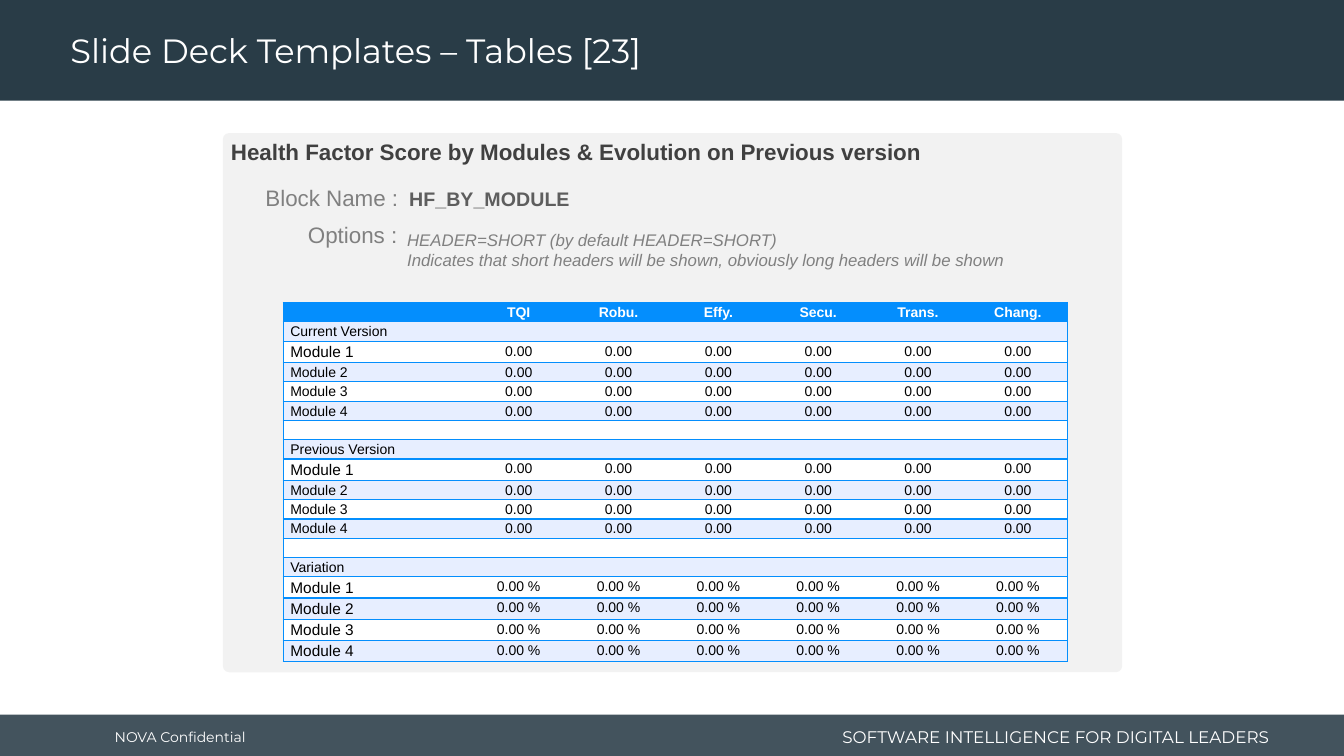
from pptx import Presentation
from pptx.dml.color import RGBColor
from pptx.enum.shapes import MSO_SHAPE
from pptx.enum.text import MSO_ANCHOR, MSO_AUTO_SIZE, PP_ALIGN
from pptx.oxml.ns import qn
from pptx.util import Inches, Pt
from lxml import etree

RECTANGLE, ROUNDED = MSO_SHAPE.RECTANGLE, MSO_SHAPE.ROUNDED_RECTANGLE
TOP, MIDDLE = MSO_ANCHOR.TOP, MSO_ANCHOR.MIDDLE
LEFT, CENTER, RIGHT = PP_ALIGN.LEFT, PP_ALIGN.CENTER, PP_ALIGN.RIGHT
FIT_TEXT, FIXED = MSO_AUTO_SIZE.SHAPE_TO_FIT_TEXT, MSO_AUTO_SIZE.NONE

NAVY = RGBColor(0x29, 0x3C, 0x47)
WHITE = RGBColor(0xFF, 0xFF, 0xFF)
BLACK = RGBColor(0x00, 0x00, 0x00)
PANEL_GRAY = RGBColor(0xF2, 0xF2, 0xF2)
HEADING_GRAY = RGBColor(0x40, 0x40, 0x40)
NAME_GRAY = RGBColor(0x5E, 0x5E, 0x5E)
LABEL_GRAY = RGBColor(0x80, 0x80, 0x80)
BLUE = RGBColor(0x04, 0x8E, 0xFD)
PALE_BLUE = RGBColor(0xE7, 0xEE, 0xFF)

BRAND_FONT, BODY_FONT = "Montserrat", "Arial"
SCORES = ["TQI", "Robu.", "Effy.", "Secu.", "Trans.", "Chang."]


class SlideBuilder:
    """Draws on one slide; every length is a percentage of the slide's size."""

    def __init__(self, presentation):
        self.width = presentation.slide_width
        self.height = presentation.slide_height
        self.slide = presentation.slides.add_slide(presentation.slide_layouts[6])

    def across(self, share):
        return round(self.width * share / 100)

    def down(self, share):
        return round(self.height * share / 100)

    def place(self, left, top, width, height):
        return self.across(left), self.down(top), self.across(width), self.down(height)

    def format(self, paragraph, size, color, font=BODY_FONT, bold=False, italic=False):
        for run in paragraph.runs:
            run.font.name = font
            run.font.size = Pt(size)
            run.font.bold = bold
            run.font.italic = italic
            run.font.color.rgb = color

    def block(self, area, color, preset=RECTANGLE, corner=None, opacity=None):
        shape = self.slide.shapes.add_shape(preset, *self.place(*area))
        shape.shadow.inherit = False
        shape.fill.solid()
        shape.fill.fore_color.rgb = color
        shape.line.fill.background()
        if corner is not None:
            shape.adjustments[0] = corner
        if opacity is not None:
            color_element = shape.fill._xPr.find(qn("a:solidFill"))[0]
            etree.SubElement(color_element, qn("a:alpha"), val=str(opacity * 1000))

    def text(self, area, text, size, color, align=LEFT, anchor=TOP, wrap=True,
             fit=FIT_TEXT, side_inset=0.1, line_spacing=None, **style):
        box = self.slide.shapes.add_textbox(*self.place(*area))
        frame = box.text_frame
        frame.text = text
        frame.word_wrap = wrap
        frame.auto_size = fit
        frame.vertical_anchor = anchor
        frame.margin_left = frame.margin_right = Inches(side_inset)
        for paragraph in frame.paragraphs:
            paragraph.alignment = align
            paragraph.line_spacing = line_spacing
            self.format(paragraph, size, color, **style)

    def cell(self, cell, text, size, color, fill, align, bold, sides):
        cell.margin_left = cell.margin_right = Inches(0.07)
        cell.margin_top = cell.margin_bottom = 0
        paragraph = cell.text_frame.paragraphs[0]
        paragraph.text = text
        paragraph.alignment = align
        if text:
            paragraph.line_spacing = 1.15
            self.format(paragraph, size, color, bold=bold)
        else:
            etree.SubElement(paragraph._p, qn("a:endParaRPr"), sz=str(size * 100))
        properties = cell._tc.get_or_add_tcPr()
        for side in "LRTB":
            line = etree.SubElement(properties, qn(f"a:ln{side}"), w=str(Pt(1)))
            if side in sides:
                solid = etree.SubElement(line, qn("a:solidFill"))
                etree.SubElement(solid, qn("a:srgbClr"), val=str(BLUE))
            else:
                etree.SubElement(line, qn("a:noFill"))
        cell.fill.solid()
        cell.fill.fore_color.rgb = fill

    def table(self, left, top, column_widths, row_height, rows):
        area = self.place(left, top, sum(column_widths), row_height * len(rows))
        table = self.slide.shapes.add_table(len(rows), len(column_widths), *area).table
        table.horz_banding = False
        table.first_row = False
        last = len(column_widths) - 1
        for column, width in zip(table.columns, column_widths):
            column.width = self.across(width)
        for r, (label_size, values) in enumerate(rows):
            table.rows[r].height = self.down(row_height)
            header = r == 0
            fill = BLUE if header else PALE_BLUE if r % 2 else WHITE
            # Blank spacer rows are white and restart the banding
            for c, value in enumerate(values):
                sides = "TB" + ("L" if c == 0 else "") + ("R" if c == last else "")
                self.cell(table.cell(r, c), value, 10 if c else label_size,
                          WHITE if header else BLACK, fill,
                          CENTER if c else LEFT, header, sides)


def score_rows():
    """Rows as (label size, values): a header, then three groups of modules."""
    blanks = [""] * len(SCORES)
    rows = [(10, [""] + SCORES)]
    groups = [("Current Version", "0.00", [11, 10, 10, 10]),
              ("Previous Version", "0.00", [11, 10, 10, 10]),
              ("Variation", "0.00 %", [11, 11, 11, 11])]
    for group, score, label_sizes in groups:
        if len(rows) > 1:
            rows.append((11, [""] + blanks))
        rows.append((10, [group] + blanks))
        for number, size in enumerate(label_sizes, 1):
            rows.append((size, [f"Module {number}"] + [score] * len(SCORES)))
    return rows


def main():
    presentation = Presentation()
    presentation.slide_width = Inches(13.33)
    presentation.slide_height = Inches(7.5)
    builder = SlideBuilder(presentation)

    # Footer and title bands
    builder.block((0, 94.53, 100, 5.87), NAVY, opacity=88)
    builder.block((0, 0, 100, 13.33), NAVY)
    builder.text((7.8, 94.8, 11.1, 5.33), "NOVA Confidential", 10, WHITE,
                 anchor=MIDDLE, wrap=False, fit=FIXED, font=BRAND_FONT)
    builder.text((60.83, 95.33, 34.36, 4.27), "SOFTWARE INTELLIGENCE FOR DIGITAL LEADERS",
                 12, WHITE, align=RIGHT, anchor=MIDDLE, fit=FIXED, font=BRAND_FONT)
    builder.text((4.5, 0.53, 71.86, 12.8), "Slide Deck Templates – Tables [23]", 24, WHITE,
                 anchor=MIDDLE, fit=FIXED, line_spacing=0.9, font=BRAND_FONT)

    # Panel with the block's description
    builder.block((16.58, 17.6, 66.92, 71.33), PANEL_GRAY, ROUNDED, corner=0.012)
    builder.text((15.68, 17.6, 69.77, 4.93),
                 "Health Factor Score by Modules & Evolution on Previous version",
                 16, HEADING_GRAY, side_inset=0.2, bold=True)
    builder.text((29.71, 24.13, 54.39, 4.53), "HF_BY_MODULE", 14, NAME_GRAY, bold=True)
    builder.text((29.56, 29.73, 54.91, 6.67),
                 "HEADER=SHORT (by default HEADER=SHORT)\n"
                 "Indicates that short headers will be shown, obviously long headers will be shown",
                 12, LABEL_GRAY, italic=True)
    for area, label in [((17.85, 23.73, 12.53, 4.93), "Block Name :"),
                        ((21.23, 28.53, 9.08, 4.93), "Options :")]:
        builder.text(area, label, 16, LABEL_GRAY, align=RIGHT, wrap=False)

    # Score table
    builder.table(21.08, 40, [13.8] + [7.43] * len(SCORES), 2.52, score_rows())

    presentation.save("out.pptx")


if __name__ == "__main__":
    main()
